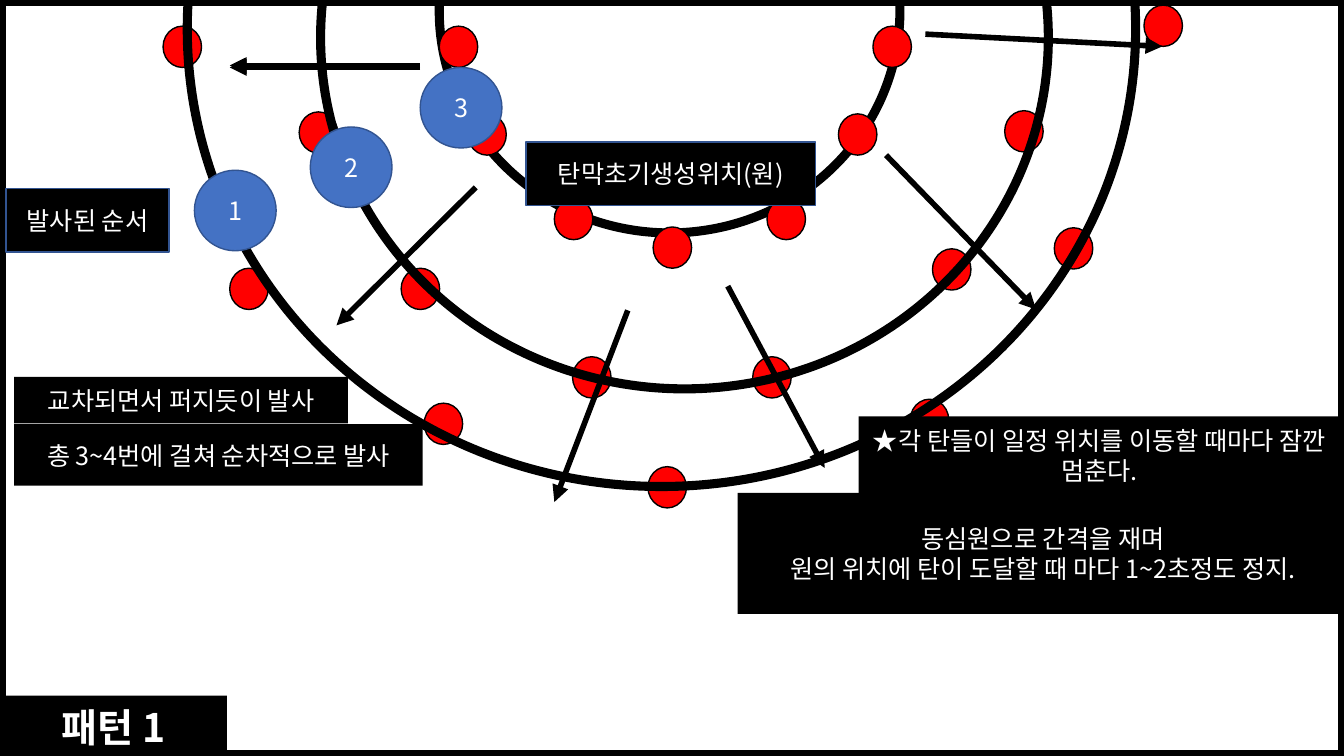
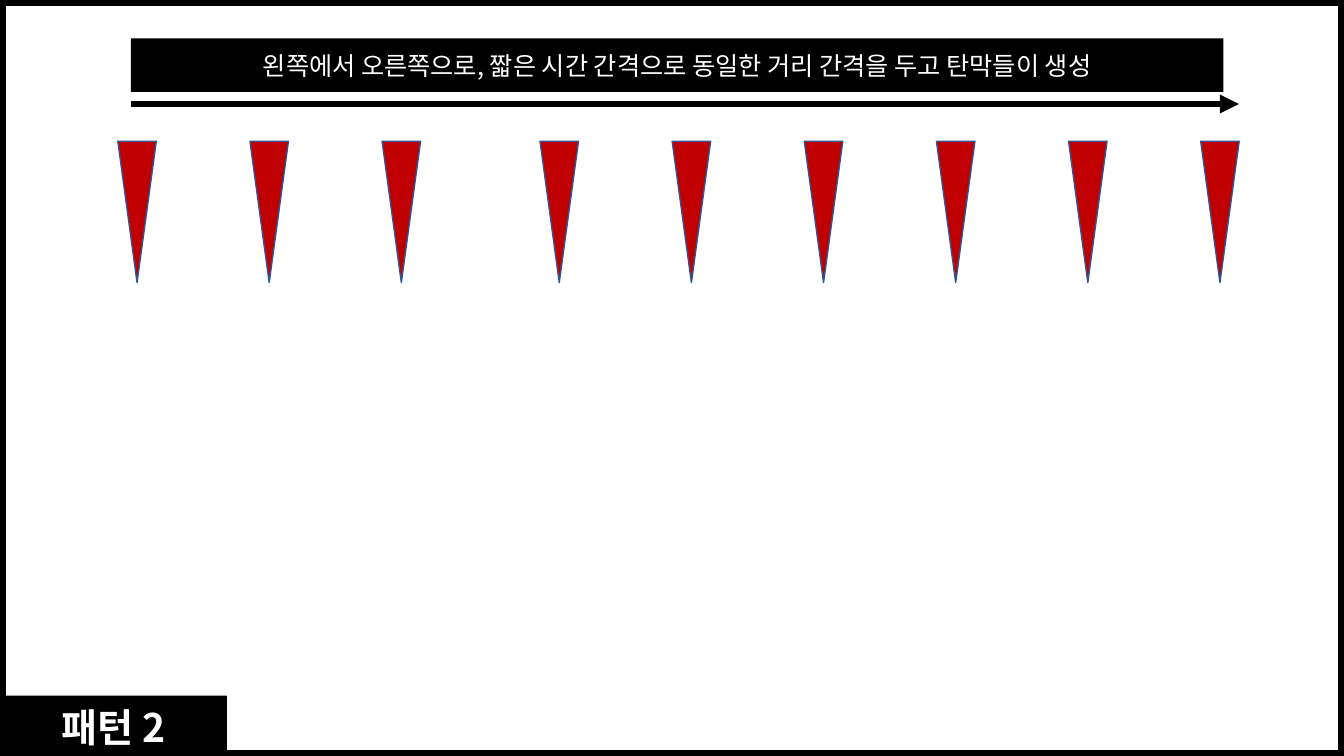
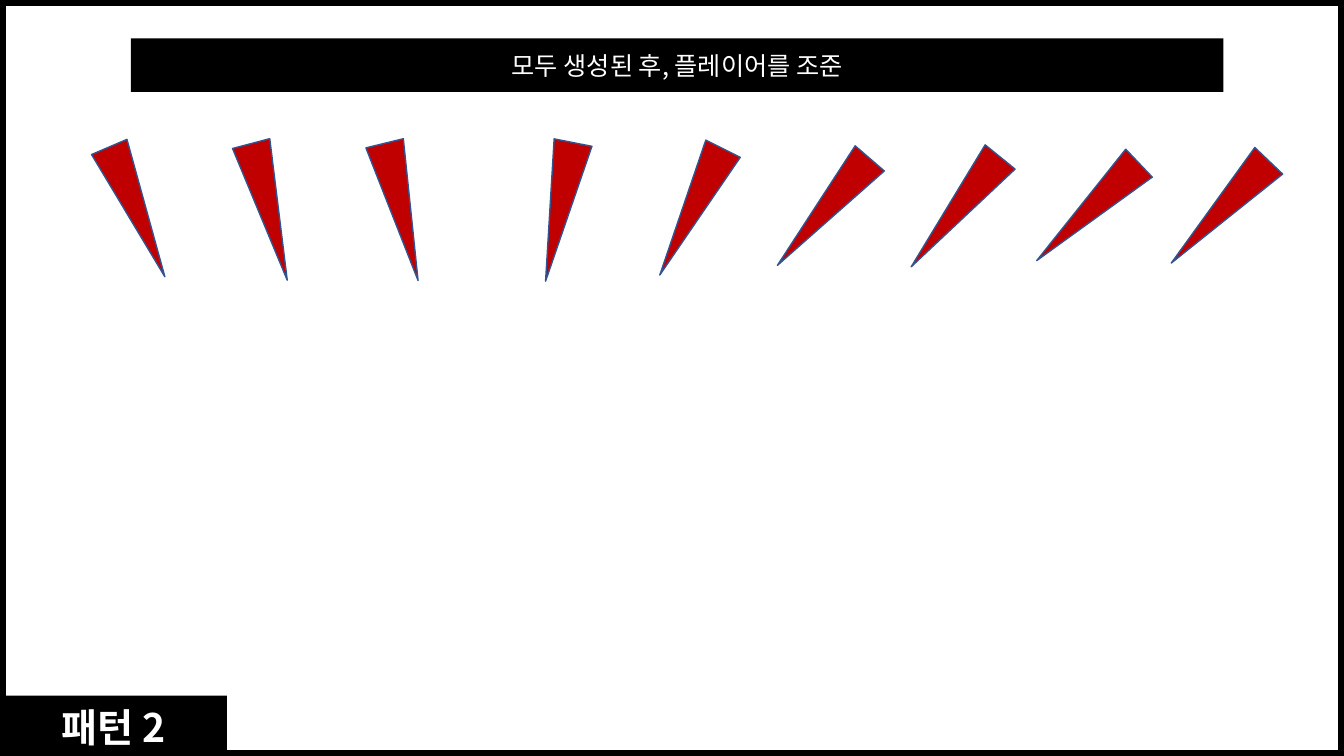
from lxml import etree
from pptx import Presentation
from pptx.dml.color import RGBColor
from pptx.enum.shapes import MSO_CONNECTOR, MSO_SHAPE
from pptx.enum.text import MSO_ANCHOR, MSO_AUTO_SIZE, PP_ALIGN
from pptx.oxml.ns import qn
from pptx.util import Cm, Pt

RECTANGLE, OVAL = MSO_SHAPE.RECTANGLE, MSO_SHAPE.OVAL
SPIKE = MSO_SHAPE.FLOWCHART_MERGE
STRAIGHT = MSO_CONNECTOR.STRAIGHT
MIDDLE, CENTER = MSO_ANCHOR.MIDDLE, PP_ALIGN.CENTER
NO_AUTOFIT = MSO_AUTO_SIZE.NONE

FONT = "Noto Sans CJK KR"
BLACK, WHITE = "000000", "FFFFFF"
RED, DARK_RED = "FF0000", "C00000"
BLUE, NAVY = "4472C4", "325491"
TITLE_ONLY = 5

# All positions and sizes are in centimetres.
SLIDE_SIZE = (33.87, 19.05)
TITLE_BOX = (0, 17.53, 5.72, 1.55)
BANNER_BOX = (3.3, 0.97, 27.53, 1.35)

INNER_RING = (11.07, -5.33, 11.61, 11.2)
OUTER_RINGS = [(8.08, -7.9, 18.34, 17.7), (4.72, -10.8, 23.9, 23.06)]
BULLET_SIZE = (0.97, 1.04)
BULLETS = [
    # inner ring
    (11.79, 2.87), (13.97, 5), (16.46, 5.72), (19.33, 5), (21.13, 2.87),
    (22, 0.66), (11.07, 0.66),
    # middle ring
    (7.54, 2.82), (10.11, 6.76), (14.43, 8.99), (18.97, 8.99), (23.5, 6.27),
    (25.32, 2.79),
    # outer ring
    (4.11, 0.66), (5.79, 6.76), (10.69, 10.16), (16.33, 11.76),
    (22.94, 10.06), (26.57, 5.74), (28.83, 0.13),
]
FIRING_ARROWS = [
    (10.59, 1.7, 5.79, 1.7), (10.59, 1.65, 5.79, 1.65),
    (11.99, 4.72, 8.48, 8.2), (15.82, 7.82, 13.97, 12.65),
    (18.34, 7.21, 20.78, 11.79), (22.33, 3.91, 26.11, 7.8),
    (23.32, 0.86, 29.29, 1.17),
]
ORDER_SIZE = (2.06, 2.03)
ORDER_MARKS = [("1", 4.9, 4.29), ("2", 7.82, 3.2), ("3", 10.59, 1.7)]
# Box, outline, paragraphs
LABELS = [
    ((13.26, 3.58, 7.29, 1.6), NAVY, ["탄막초기생성위치(원)"]),
    ((0.36, 9.5, 8.41, 1.17), None, ["교차되면서 퍼지듯이 발사"]),
    ((0.36, 10.69, 10.29, 1.55), None, ["총 3~4번에 걸쳐 순차적으로 발사"]),
    ((0.15, 4.75, 4.11, 1.6), NAVY, ["발사된 순서"]),
    ((21.64, 10.49, 12.14, 1.96), None,
     ["★각 탄들이 일정 위치를 이동할 때마다 잠깐 멈춘다."]),
    ((18.59, 12.42, 15.39, 3.05), None,
     ["동심원으로 간격을 재며",
      "원의 위치에 탄이 도달할 때 마다 1~2초정도 정지."]),
]

SPIKE_TOP, SPIKE_WIDTH, SPIKE_HEIGHT = 3.56, 0.97, 3.56
SPIKE_PITCH = 3.33
SPIKE_GROUPS = [(2.97, 3), (13.61, 6)]  # left edge, count
SWEEP_ARROW = (3.3, 2.62, 31.22, 2.62)
SWEEP_TEXT = "왼쪽에서 오른쪽으로, 짧은 시간 간격으로 동일한 거리 간격을 두고 탄막들이 생성"
AIM_TEXT = "모두 생성된 후, 플레이어를 조준"
STRAIGHT_DOWN = [0] * 9
AIM_ANGLES = [336.8, 345.2, 346.3, 11.2, 26.6, 40.8, 39, 46.4, 43.6]


def rgb(color):
    return RGBColor.from_string(color)


def write(shape, paragraphs, size=18, bold=False):
    frame = shape.text_frame
    frame.word_wrap = True
    frame.auto_size = NO_AUTOFIT
    frame.vertical_anchor = MIDDLE
    for index, text in enumerate(paragraphs):
        paragraph = frame.add_paragraph() if index else frame.paragraphs[0]
        paragraph.alignment = CENTER
        run = paragraph.add_run()
        run.text = text
        font = run.font
        font.name, font.size, font.bold = FONT, Pt(size), bold
        font.color.rgb = rgb(WHITE)
        east_asian = etree.SubElement(run._r.get_or_add_rPr(), qn("a:ea"))
        east_asian.set("typeface", FONT)


def add_figure(slide, kind, box, fill=None, line=None, width=1):
    shape = slide.shapes.add_shape(kind, *map(Cm, box))
    shape.shadow.inherit = False
    if fill:
        shape.fill.solid()
        shape.fill.fore_color.rgb = rgb(fill)
    else:
        shape.fill.background()
    if line:
        shape.line.color.rgb = rgb(line)
        shape.line.width = Pt(width)
    else:
        shape.line.fill.background()
    return shape


def add_arrow(slide, ends, width):
    arrow = slide.shapes.add_connector(STRAIGHT, *map(Cm, ends))
    arrow.line.color.rgb = rgb(BLACK)
    arrow.line.width = Pt(width)
    head = etree.SubElement(arrow.line._get_or_add_ln(), qn("a:tailEnd"))
    head.set("type", "triangle")
    etree.SubElement(arrow._element.spPr, qn("a:effectLst"))


def add_pattern_slide(presentation, title_text):
    """Add a slide with the black frame and the title tag in its corner."""
    slide = presentation.slides.add_slide(
        presentation.slide_layouts[TITLE_ONLY])
    add_figure(slide, RECTANGLE, (0, 0, *SLIDE_SIZE), WHITE, BLACK, 8)
    title = slide.shapes.title
    title.left, title.top, title.width, title.height = map(Cm, TITLE_BOX)
    title.fill.solid()
    title.fill.fore_color.rgb = rgb(BLACK)
    write(title, [title_text], 28, True)
    slide.shapes._spTree.append(title._element)  # in front of the frame
    return slide


def add_ring_slide(presentation):
    slide = add_pattern_slide(presentation, "패턴 1")
    add_figure(slide, OVAL, INNER_RING, line=BLACK, width=6.5)
    for position in BULLETS:
        add_figure(slide, OVAL, position + BULLET_SIZE, RED, BLACK)
    for ends in FIRING_ARROWS:
        add_arrow(slide, ends, 4)
    for ring in OUTER_RINGS:
        add_figure(slide, OVAL, ring, line=BLACK, width=6.5)
    for number, left, top in ORDER_MARKS:
        mark = add_figure(slide, OVAL, (left, top, *ORDER_SIZE), BLUE, NAVY)
        write(mark, [number])
    for box, outline, paragraphs in LABELS:
        write(add_figure(slide, RECTANGLE, box, BLACK, outline), paragraphs)


def add_spike_slide(presentation, banner_text, angles):
    slide = add_pattern_slide(presentation, "패턴 2")
    lefts = [start + index * SPIKE_PITCH
             for start, count in SPIKE_GROUPS for index in range(count)]
    for left, angle in zip(lefts, angles):
        box = (left, SPIKE_TOP, SPIKE_WIDTH, SPIKE_HEIGHT)
        spike = add_figure(slide, SPIKE, box, DARK_RED, NAVY)
        spike.rotation = angle
    write(add_figure(slide, RECTANGLE, BANNER_BOX, BLACK), [banner_text])
    return slide


def main():
    presentation = Presentation()
    presentation.slide_width, presentation.slide_height = map(Cm, SLIDE_SIZE)
    add_ring_slide(presentation)
    sweep_slide = add_spike_slide(presentation, SWEEP_TEXT, STRAIGHT_DOWN)
    add_arrow(sweep_slide, SWEEP_ARROW, 4.5)
    add_spike_slide(presentation, AIM_TEXT, AIM_ANGLES)
    presentation.save("out.pptx")


if __name__ == "__main__":
    main()
